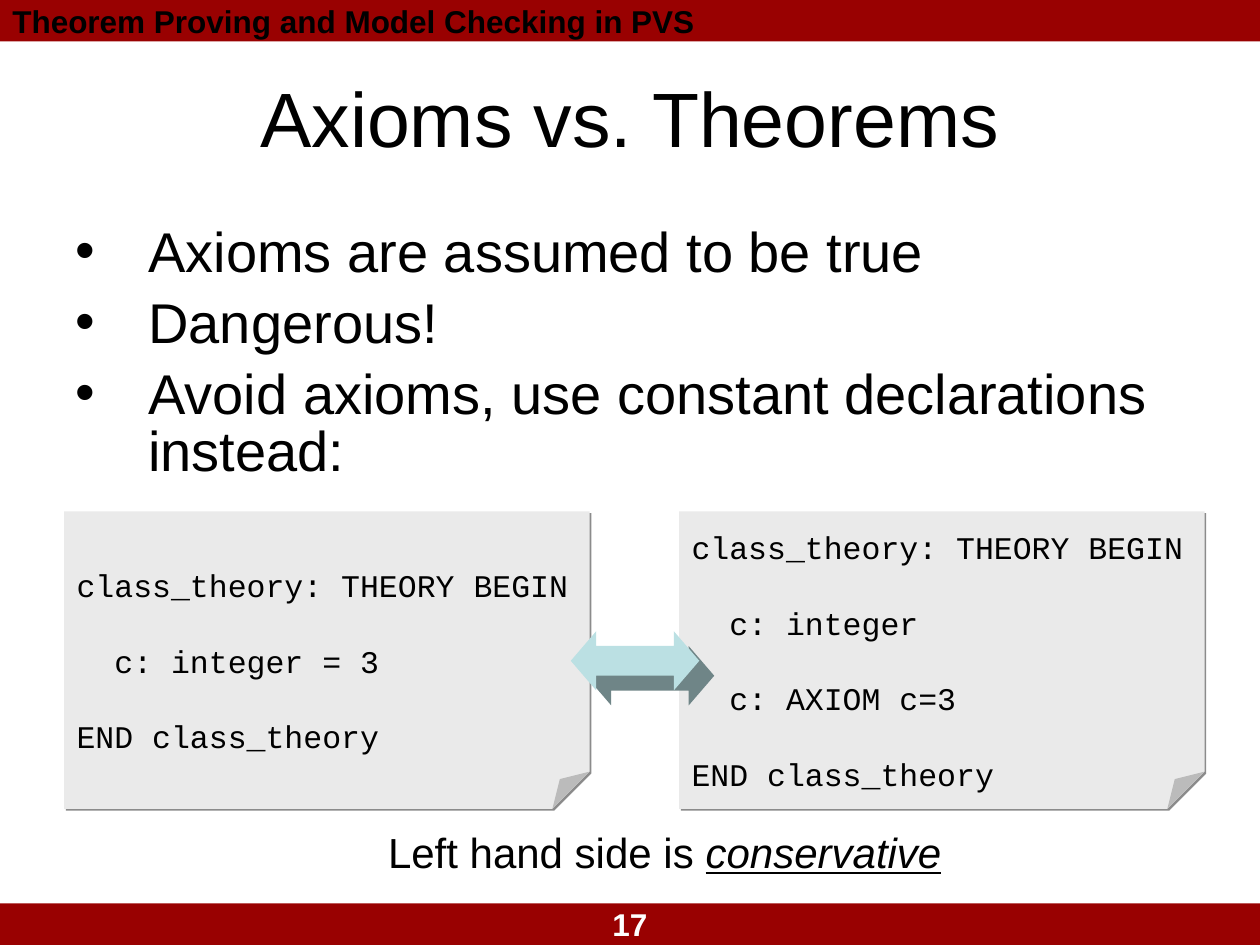
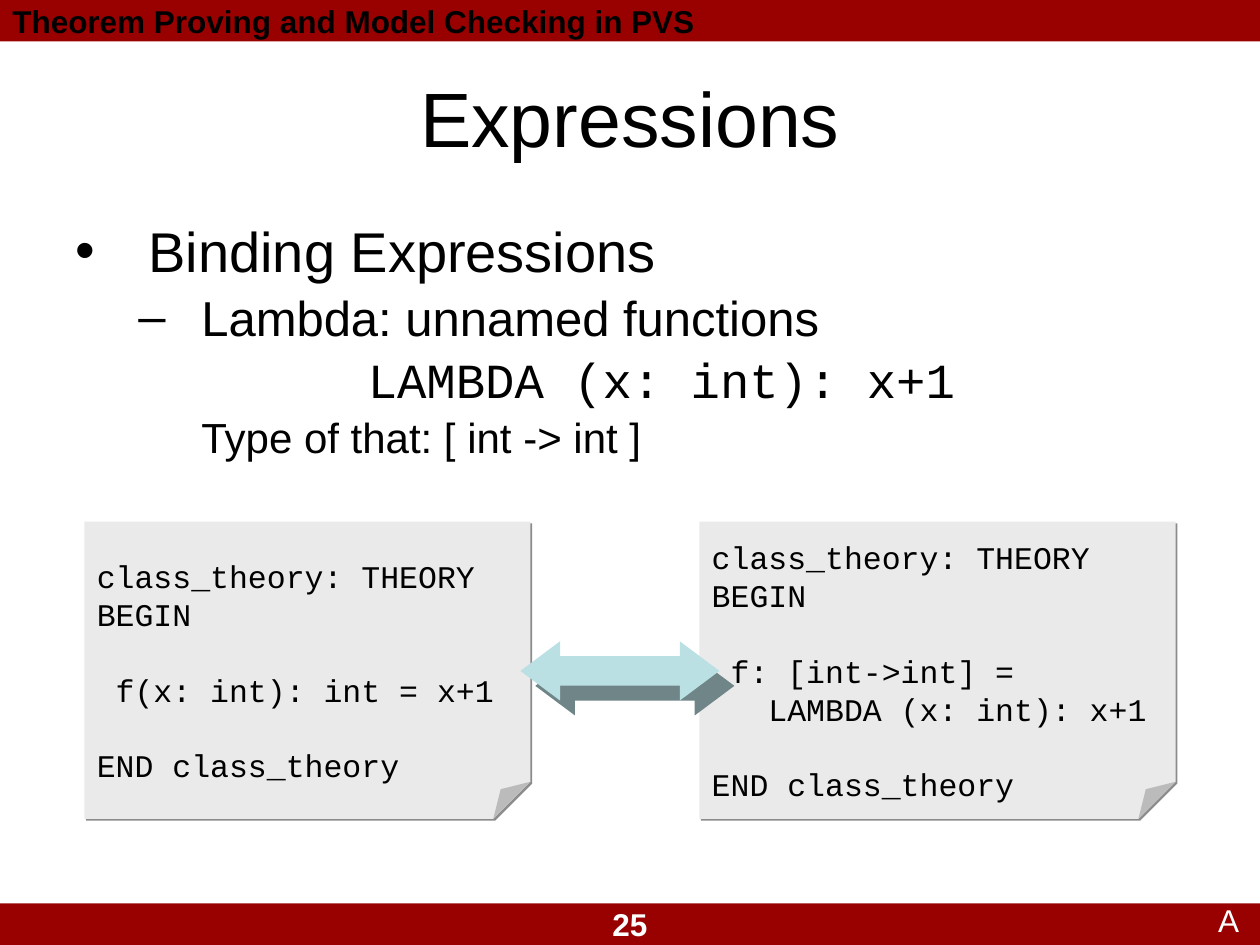
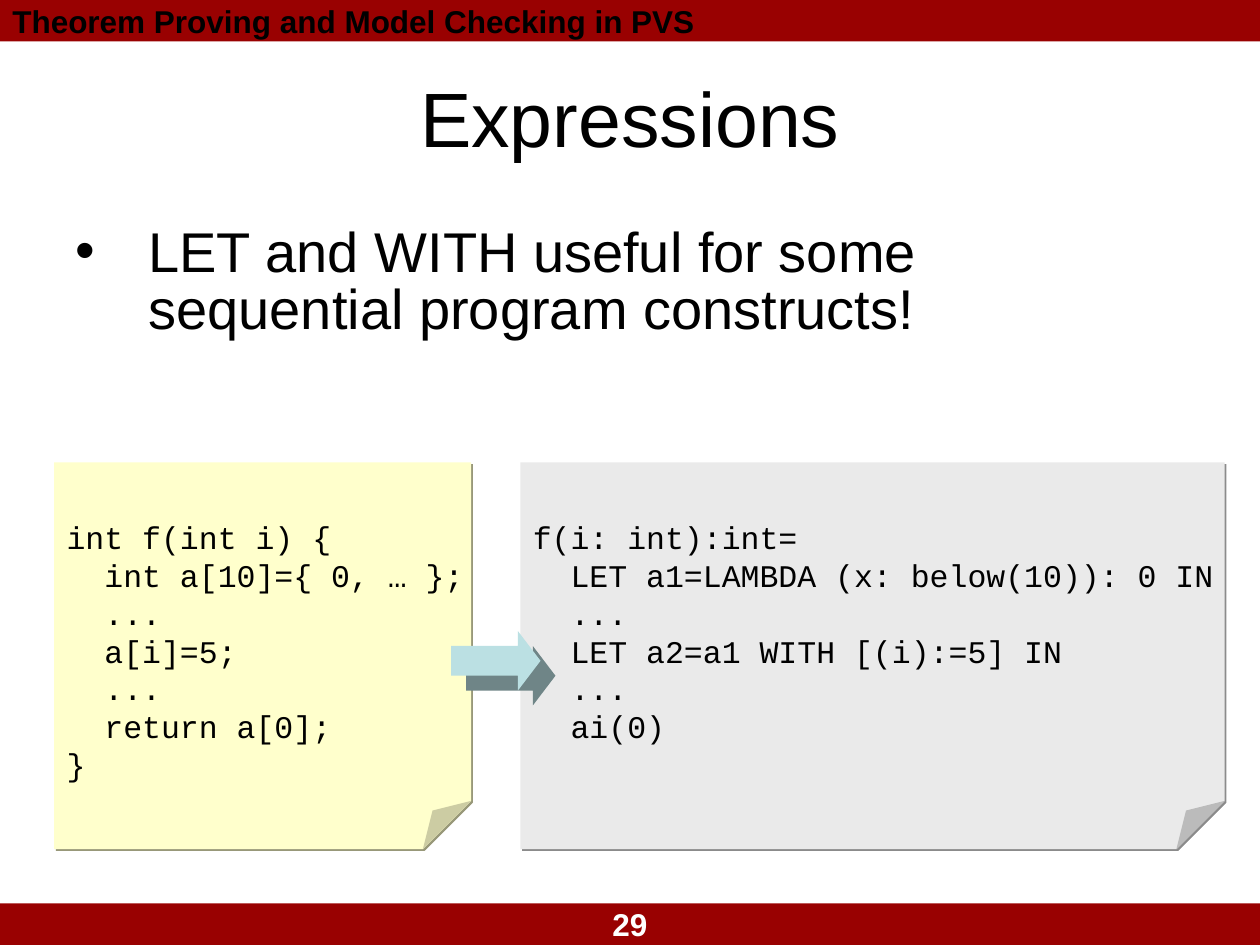
from dataclasses import dataclass

from lxml import etree
from pptx import Presentation
from pptx import util as u
from pptx.dml.color import RGBColor
from pptx.enum import shapes, text
from pptx.oxml.ns import qn

BAND_RED = RGBColor(0x99, 0x01, 0x01)
BLACK = RGBColor(0, 0, 0)
WHITE = RGBColor(0xFF, 0xFF, 0xFF)
PVS_GREY = RGBColor(0xEA, 0xEA, 0xEA)
PVS_SHADOW = RGBColor(0x8B, 0x8B, 0x8B)
C_YELLOW = RGBColor(0xFF, 0xFF, 0xCC)
C_SHADOW = RGBColor(0x98, 0x98, 0x79)
ARROW_BLUE = RGBColor(0xBB, 0xE0, 0xE3)
ARROW_SHADOW = RGBColor(0x6F, 0x85, 0x87)

SANS = "Arial"
MONO = "Courier New"
COURSE = "Theorem Proving and Model Checking in PVS"
BAND_HEIGHT = 0.33
CODE_LINE = u.Inches(0.3)
CODE_CHAR = u.Inches(0.15)

LEFT = text.PP_ALIGN.LEFT
CENTER = text.PP_ALIGN.CENTER
BOTH_WAYS = shapes.MSO_SHAPE.LEFT_RIGHT_ARROW
ONE_WAY = shapes.MSO_SHAPE.RIGHT_ARROW


@dataclass(frozen=True)
class Box:
    left: float
    top: float
    width: float
    height: float

    def lengths(self) -> list[u.Length]:
        return [u.Inches(v) for v in (self.left, self.top, self.width, self.height)]


@dataclass(frozen=True)
class Point:
    words: str
    size: int = 32
    before: int = 8
    margin: float = 0.58
    hanging: float = 0.58
    bullet: str = ""
    font: str = SANS
    align: text.PP_ALIGN = LEFT


@dataclass(frozen=True)
class Note:
    box: Box
    code: str
    fill: RGBColor = PVS_GREY
    shadow: RGBColor = PVS_SHADOW


@dataclass(frozen=True)
class Arrow:
    box: Box
    preset: shapes.MSO_SHAPE
    head: float


@dataclass(frozen=True)
class Lesson:
    number: int
    title: str
    points: list[Point]
    notes: list[Note]
    arrow: Arrow


def style(paragraph, size: int, color: RGBColor = BLACK, font: str = SANS,
          bold: bool = False, align: text.PP_ALIGN = LEFT) -> None:
    paragraph.alignment = align
    for run in paragraph.runs:
        run.font.name = font
        run.font.size = u.Pt(size)
        run.font.bold = bold
        run.font.color.rgb = color


def indent(paragraph, margin: int, hanging: int = 0, bullet: str = "") -> None:
    properties = paragraph._p.get_or_add_pPr()
    properties.set("marL", str(margin))
    properties.set("indent", str(-hanging))
    if bullet:
        etree.SubElement(properties, qn("a:buFont")).set("typeface", SANS)
        etree.SubElement(properties, qn("a:buChar")).set("char", bullet)
    else:
        etree.SubElement(properties, qn("a:buNone"))


def add_filled(slide, preset: shapes.MSO_SHAPE, box: Box, fill: RGBColor):
    shape = slide.shapes.add_shape(preset, *box.lengths())
    shape.shadow.inherit = False
    shape.fill.solid()
    shape.fill.fore_color.rgb = fill
    shape.line.fill.background()
    return shape


def cast_shadow(shape, color: RGBColor, distance: float) -> None:
    effects = shape._element.spPr.find(qn("a:effectLst"))
    shadow = etree.SubElement(effects, qn("a:outerShdw"), dist=str(u.Pt(distance)),
                              dir="2700000", algn="ctr", rotWithShape="0")
    etree.SubElement(shadow, qn("a:srgbClr")).set("val", str(color))


def fold_corner(shape) -> None:
    geometry = shape._element.spPr.find(qn("a:prstGeom"))
    geometry.set("prst", "foldedCorner")
    for child in list(geometry):
        geometry.remove(child)
    guides = etree.SubElement(geometry, qn("a:avLst"))
    etree.SubElement(guides, qn("a:gd"), name="adj", fmla="val 12500")


def add_label(slide, box: Box, words: str, wrap: bool = False):
    frame = slide.shapes.add_textbox(*box.lengths()).text_frame
    frame.word_wrap = wrap
    frame.text = words
    return frame


def add_bands(slide, number: int) -> None:
    top = Box(0, 0, 10, BAND_HEIGHT)
    add_filled(slide, shapes.MSO_SHAPE.RECTANGLE, top, BAND_RED)
    footer = add_filled(slide, shapes.MSO_SHAPE.RECTANGLE,
                        Box(0, 7.5 - BAND_HEIGHT, 10, BAND_HEIGHT), BAND_RED).text_frame
    footer.word_wrap = False
    footer.text = str(number)
    style(footer.paragraphs[0], 18, WHITE, bold=True, align=CENTER)
    header = add_label(slide, top, COURSE)
    header.vertical_anchor = text.MSO_ANCHOR.MIDDLE
    style(header.paragraphs[0], 18, bold=True)


def set_title(slide, words: str) -> None:
    title = slide.shapes.title
    title.left, title.top, title.width, title.height = Box(0.5, 0.3, 9, 1.25).lengths()
    frame = title.text_frame
    frame.text = words
    frame.auto_size = text.MSO_AUTO_SIZE.NONE
    frame.vertical_anchor = text.MSO_ANCHOR.MIDDLE
    style(frame.paragraphs[0], 44, align=CENTER)


def add_points(slide, points: list[Point]) -> None:
    frame = add_label(slide, Box(0.5, 1.75, 9, 4.95),
                      "\n".join(point.words for point in points), wrap=True)
    for paragraph, point in zip(frame.paragraphs, points):
        paragraph.line_spacing = 0.85
        paragraph.space_before = u.Pt(point.before)
        style(paragraph, point.size, font=point.font, align=point.align)
        indent(paragraph, u.Inches(point.margin), u.Inches(point.hanging), point.bullet)


def add_note(slide, note: Note) -> None:
    shape = add_filled(slide, shapes.MSO_SHAPE.FOLDED_CORNER, note.box, note.fill)
    fold_corner(shape)
    cast_shadow(shape, note.shadow, 1.4)
    frame = shape.text_frame
    frame.word_wrap = False
    frame.vertical_anchor = text.MSO_ANCHOR.MIDDLE
    lines = note.code.split("\n")
    frame.text = "\n".join(line.strip() for line in lines if line)
    if not lines[0]:
        frame.margin_top += CODE_LINE
    filled = [i for i, line in enumerate(lines) if line]
    for paragraph, i in zip(frame.paragraphs, filled):
        line = lines[i]
        if i > filled[0] and not lines[i - 1]:
            paragraph.space_before = CODE_LINE
        style(paragraph, 18, font=MONO)
        indent(paragraph, CODE_CHAR * (len(line) - len(line.lstrip())))


def add_arrow(slide, arrow: Arrow) -> None:
    shape = add_filled(slide, arrow.preset, arrow.box, ARROW_BLUE)
    shape.adjustments[0] = 0.5
    shape.adjustments[1] = arrow.head
    cast_shadow(shape, ARROW_SHADOW, 12.1)


def add_lesson(deck, lesson: Lesson):
    slide = deck.slides.add_slide(deck.slide_layouts[5])
    add_bands(slide, lesson.number)
    set_title(slide, lesson.title)
    add_points(slide, lesson.points)
    for note in lesson.notes:
        add_note(slide, note)
    add_arrow(slide, lesson.arrow)
    return slide


AXIOMS = Lesson(
    17, "Axioms vs. Theorems",
    [Point("Axioms are assumed to be true", bullet="•"),
     Point("Dangerous!", bullet="•"),
     Point("Avoid axioms, use constant declarations instead:", bullet="•")],
    [Note(Box(5.39, 4.06, 4.17, 2.36), """
class_theory: THEORY BEGIN

  c: integer

  c: AXIOM c=3

END class_theory"""),
     Note(Box(0.51, 4.06, 4.17, 2.36), """
class_theory: THEORY BEGIN

  c: integer = 3

END class_theory""")],
    Arrow(Box(4.53, 5.01, 1.02, 0.47), BOTH_WAYS, 0.43))

LAMBDAS = Lesson(
    25, "Expressions",
    [Point("Binding Expressions", bullet="•"),
     Point("Lambda: unnamed functions", 28, 7, 1, 0.5, "–"),
     Point("LAMBDA (x: int): x+1", 28, 7, 1, 0.5, font=MONO, align=CENTER),
     Point("Type of that: [ int -> int ]", 24, 6, 1.42, 0.42)],
    [Note(Box(5.55, 4.14, 3.78, 2.36), """
class_theory: THEORY
BEGIN

 f: [int->int] =
   LAMBDA (x: int): x+1

END class_theory"""),
     Note(Box(0.67, 4.14, 3.54, 2.36), """
class_theory: THEORY
BEGIN

 f(x: int): int = x+1

END class_theory""")],
    Arrow(Box(4.13, 5.09, 1.58, 0.47), BOTH_WAYS, 0.67))

LET_WITH = Lesson(
    29, "Expressions",
    [Point("LET and WITH useful for some sequential program constructs!", bullet="•")],
    [Note(Box(4.13, 3.67, 5.59, 3.07), """f(i: int):int=
  LET a1=LAMBDA (x: below(10)): 0 IN
  ...
  LET a2=a1 WITH [(i):=5] IN
  ...
  ai(0)"""),
     Note(Box(0.43, 3.67, 3.31, 3.07), """
int f(int i) {
  int a[10]={ 0, … };
  ...
  a[i]=5;
  ...
  return a[0];
}""", C_YELLOW, C_SHADOW)],
    Arrow(Box(3.58, 5.01, 0.71, 0.47), ONE_WAY, 0.38))


def main() -> None:
    deck = Presentation()
    deck.slide_width, deck.slide_height = u.Inches(10), u.Inches(7.5)
    axioms, lambdas, _ = [add_lesson(deck, lesson) for lesson in (AXIOMS, LAMBDAS, LET_WITH)]

    verdict = add_label(axioms, Box(2.48, 6.51, 5.59, 0.5),
                        "Left hand side is ", wrap=True).paragraphs[0]
    emphasis = verdict.add_run()
    emphasis.text = "conservative"
    emphasis.font.italic = emphasis.font.underline = True
    verdict.space_before = u.Pt(15)
    style(verdict, 24, align=CENTER)

    marker = add_label(lambdas, Box(9.57, 7.1, 0.37, 0.4), "A")
    style(marker.paragraphs[0], 18, WHITE)
    deck.save("out.pptx")


if __name__ == "__main__":
    main()
